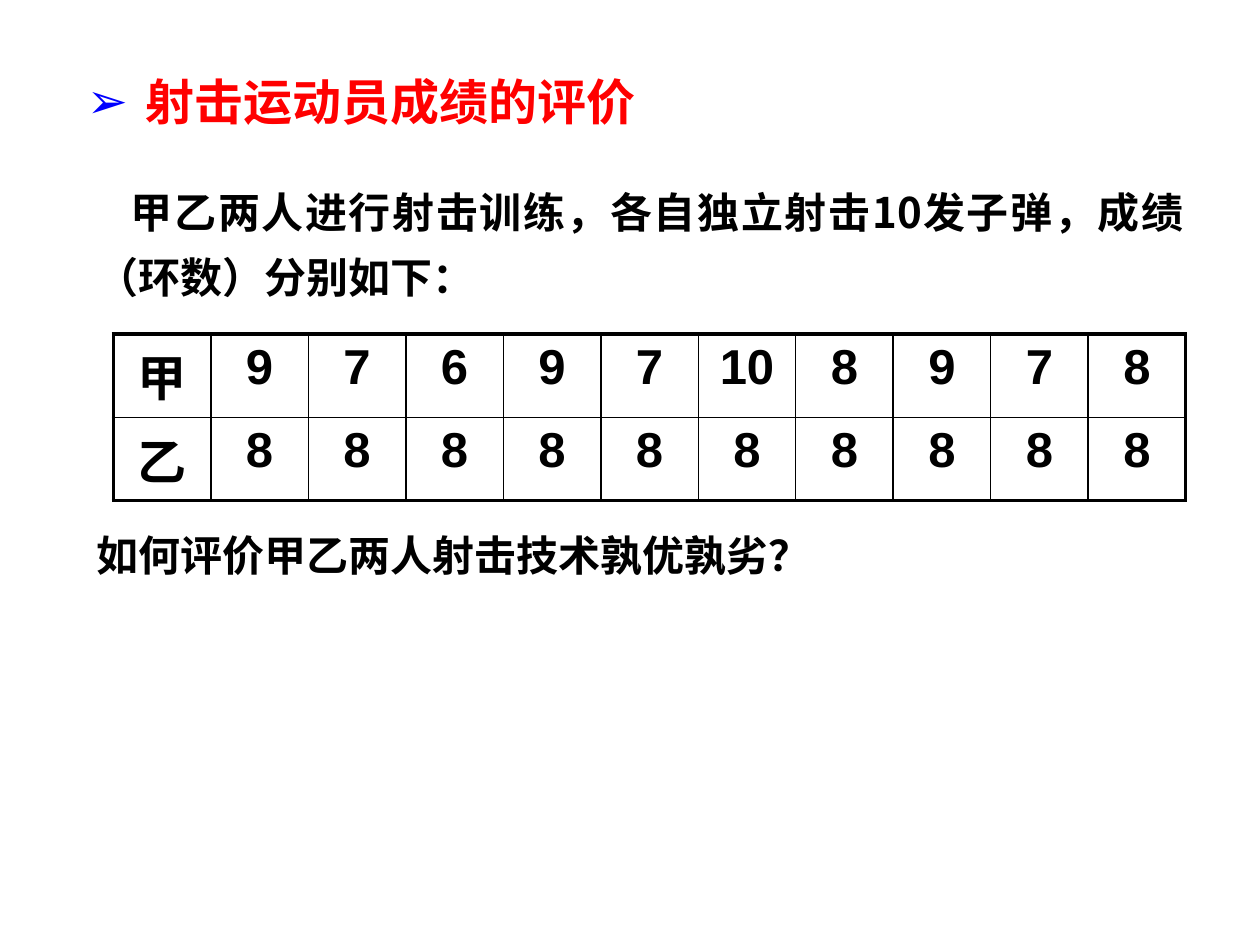
"""Build a slide that compares two shooters' scores in a table."""
from lxml.etree import SubElement as Sub
from pptx import Presentation as Deck
from pptx.dml.color import RGBColor as Rgb
from pptx.enum.text import MSO_ANCHOR as Anchor, MSO_AUTO_SIZE as Auto, PP_ALIGN as Align
from pptx.oxml.ns import qn
from pptx.util import Inches, Pt

theme = {
    "ink": "000000", "head": "FF0000", "mark": "0000FF",
    "sans": "Noto Sans CJK SC", "latin": "Arial",
    "big": 28, "text": 24, "thin": 1, "thick": 2.25,
}
gap = Pt(0.2 * theme["big"])

deck = Deck()
deck.slide_width, deck.slide_height = Inches(10), Inches(7.5)
wide, high = deck.slide_width, deck.slide_height
slide = deck.slides.add_slide(deck.slide_layouts[5])


def place(shape, left, top, width, height):
    """Set a shape's box in inches and its text frame."""
    box = {"left": left, "top": top, "width": width, "height": height}
    for name, val in box.items():
        setattr(shape, name, Inches(val))
    form = {"word_wrap": True, "auto_size": Auto.NONE, "vertical_anchor": Anchor.TOP}
    for name, val in form.items():
        setattr(shape.text_frame, name, val)
    return shape.text_frame


def write(frame, text, size, face, ink, **form):
    """Write one bold paragraph and return it."""
    para = frame.paragraphs[0]
    for name, val in form.items():
        setattr(para, name, val)
    run = para.add_run()
    run.text = text
    for name, val in {"size": Pt(theme[size]), "name": theme[face], "bold": True}.items():
        setattr(run.font, name, val)
    run.font.color.rgb = Rgb.from_string(theme[ink])
    Sub(run.font._element, qn("a:ea"), typeface=theme["sans"])
    return para


frame = place(slide.shapes.title, 0.59, 0.52, 5.08, 0.66)
para = write(frame, " 射击运动员成绩的评价", "big", "sans", "head",
             alignment=Align.JUSTIFY, space_before=gap)
prop = para._p.get_or_add_pPr()
prop.set("marL", str(Inches(0.38)))
prop.set("indent", str(-Inches(0.38)))
Sub(Sub(prop, qn("a:buClr")), qn("a:srgbClr"), val=theme["mark"])
Sub(prop, qn("a:buFont"), typeface=theme["latin"])
Sub(prop, qn("a:buChar"), char="➢")

notes = [
    (1.31, 1.14, 0.27, "甲乙两人进行射击训练，各自独立射击10发子弹，成绩（环数）分别如下："),
    (4.03, 0.62, 0, "如何评价甲乙两人射击技术孰优孰劣？"),
]
for top, tall, inset, text in notes:
    frame = place(slide.shapes.add_textbox(0, 0, wide, high), 0.67, top, 8.82, tall)
    para = write(frame, text, "text", "sans", "ink",
                 alignment=Align.JUSTIFY, line_spacing=1.3)
    para._p.get_or_add_pPr().set("indent", str(Inches(inset)))

scores = [
    ["甲", 9, 7, 6, 9, 7, 10, 8, 9, 7, 8],
    ["乙"] + [8] * 10,
]
rows, cols = len(scores), len(scores[0])
grid = slide.shapes.add_table(rows, cols, Inches(0.9), Inches(2.65),
                              Inches(8.51), Inches(1.13)).table
grid.first_row = grid.horz_banding = False
for r, line in enumerate(scores):
    for c, score in enumerate(line):
        cell = grid.cell(r, c)
        write(cell.text_frame, str(score), "big", "latin", "ink",
              alignment=Align.CENTER, space_before=gap)
        prop = cell._tc.get_or_add_tcPr()
        outer = {"L": c == 0, "R": c == cols - 1, "T": r == 0, "B": r == rows - 1}
        for side, edge in outer.items():
            width = Pt(theme["thick" if edge else "thin"])
            rule = Sub(prop, qn("a:ln" + side), w=str(width))
            Sub(Sub(rule, qn("a:solidFill")), qn("a:srgbClr"), val=theme["ink"])
        cell.fill.background()

deck.save("out.pptx")
